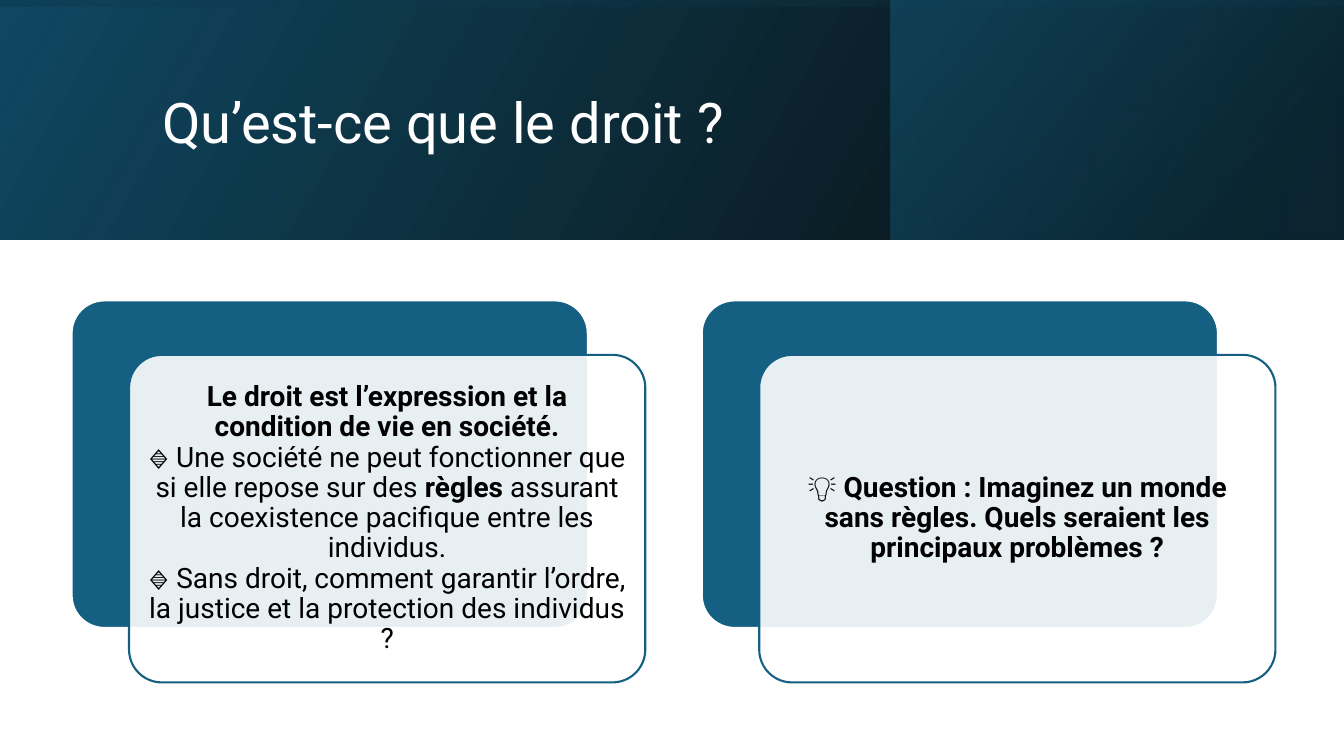
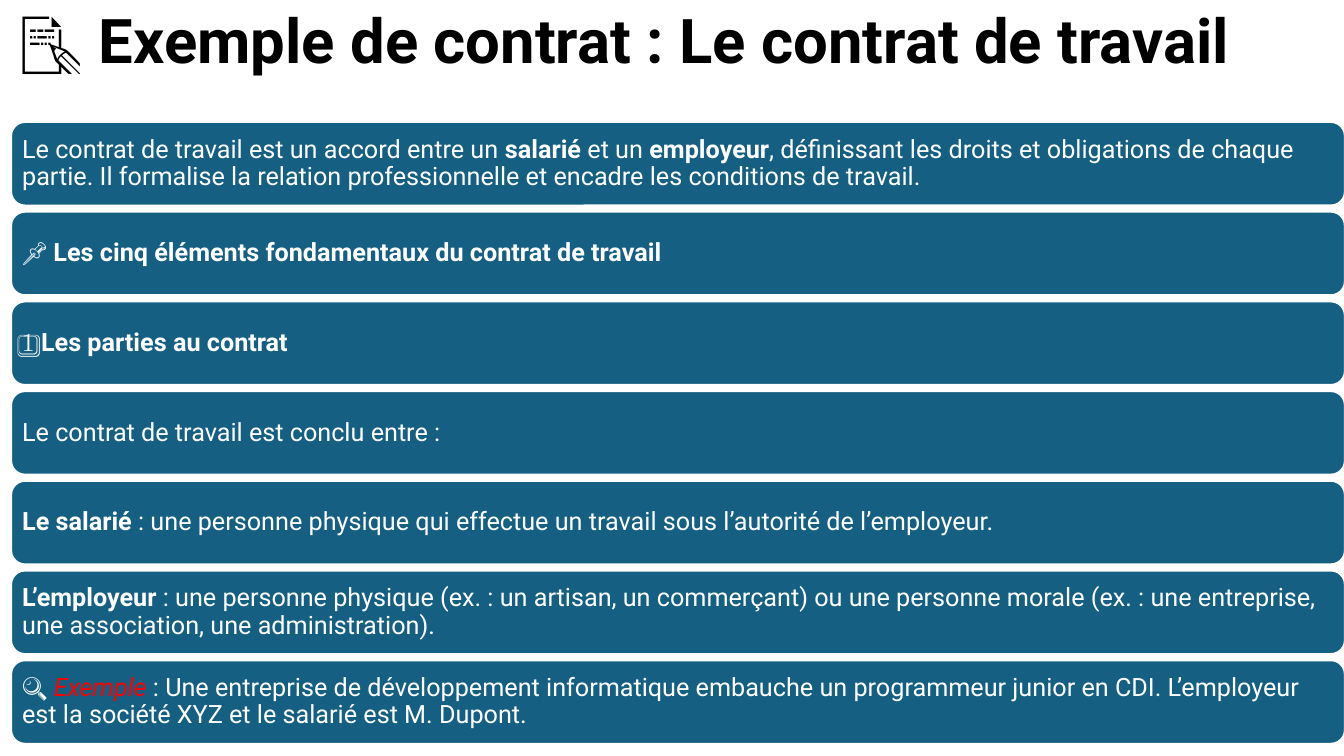
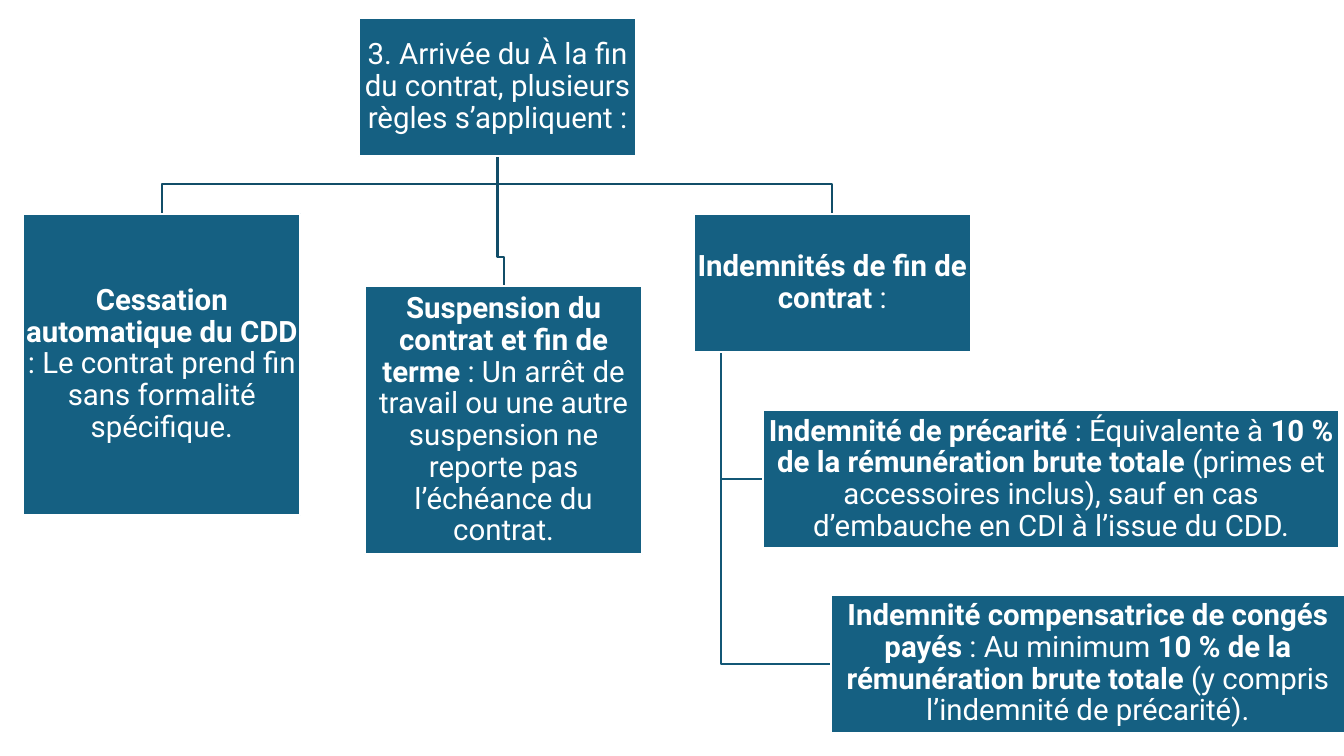
"""Builds three slides on law and the employment contract."""
import pptx
import pptx.util
import pptx.dml.color
import pptx.enum.shapes
import pptx.enum.text
import pptx.oxml
import pptx.oxml.ns

Inches = pptx.util.Inches
Pt = pptx.util.Pt
KIND = pptx.enum.shapes.MSO_SHAPE
ALIGN = pptx.enum.text.PP_ALIGN
FONT = "Roboto"
COLORS = {
    "blue": "156082", "navy": "104862", "deep": "0B3041", "trunk": "114D68",
    "branch": "135776", "white": "FFFFFF", "black": "000000", "red": "FF0000",
}


def rgb(name):
    return pptx.dml.color.RGBColor.from_string(COLORS[name])


def bold(font):
    font.bold = True


def alert(font):
    font.italic = True
    font.color.rgb = rgb("red")


def write(shape, text, size, color, align=ALIGN.LEFT, inset=None, mark=bold):
    frame = shape.text_frame
    frame.word_wrap = True
    frame.vertical_anchor = pptx.enum.text.MSO_ANCHOR.MIDDLE
    if inset is not None:
        frame.margin_left = frame.margin_right = Inches(inset)
        frame.margin_top = frame.margin_bottom = Inches(inset)
    par = frame.paragraphs[0]
    par.alignment = align
    par.line_spacing = 0.9
    par.font.name = FONT
    par.font.size = Pt(size)
    par.font.color.rgb = rgb(color)
    parts = [(part, spot % 2) for spot, part in enumerate(text.split("*")) if part]
    whole = all(strong for _, strong in parts)
    if whole:
        mark(par.font)
    for part, strong in parts:
        for row, line in enumerate(part.split("\n")):
            if row:
                par.add_line_break()
            if line:
                run = par.add_run()
                run.text = line
                if strong and not whole:
                    mark(run.font)


def title(slide, box, text, size, color):
    shape = slide.shapes.add_textbox(*map(Inches, box))
    write(shape, text, size, color)


def block(slide, kind, box, fill="blue", line="white"):
    shape = slide.shapes.add_shape(kind, *map(Inches, box))
    shape.shadow.inherit = False
    shape.fill.solid()
    shape.fill.fore_color.rgb = rgb(fill)
    if line:
        shape.line.color.rgb = rgb(line)
        shape.line.width = Pt(1.5)
    else:
        shape.line.fill.background()
    return shape


def fade(shape, share):
    tint = shape._element.spPr.find(".//" + pptx.oxml.ns.qn("a:srgbClr"))
    tint.append(pptx.oxml.parse_xml(
        f'<a:alpha {pptx.oxml.ns.nsdecls("a")} val="{share * 1000}"/>'))


def band(slide, box, stops, angle, turn=0):
    shape = block(slide, KIND.RECTANGLE, box, line=None)
    shape.rotation = turn
    props = shape._element.spPr
    props.xfrm.set("flipH", "1")
    marks = "".join(
        f'<a:gs pos="{spot * 1000}"><a:srgbClr val="{COLORS[name]}">'
        f'<a:alpha val="{share * 1000}"/></a:srgbClr></a:gs>'
        for spot, name, share in stops)
    blend = pptx.oxml.parse_xml(
        f'<a:gradFill {pptx.oxml.ns.nsdecls("a")} rotWithShape="1">'
        f'<a:gsLst>{marks}</a:gsLst>'
        f'<a:lin ang="{angle * 60000}" scaled="0"/></a:gradFill>')
    props.replace(props.find(pptx.oxml.ns.qn("a:solidFill")), blend)


def card(slide, left, text):
    wide, high, top = 5.12, 3.25, 2.98
    back = block(slide, KIND.ROUNDED_RECTANGLE, (left, top, wide, high))
    front = block(slide, KIND.ROUNDED_RECTANGLE,
                  (left + 0.57, top + 0.54, wide, high), "white", "blue")
    for shape in (back, front):
        shape.adjustments[0] = 0.1
    fade(front, 90)
    write(front, text, 20, "black", ALIGN.CENTER, 0.08)


def bar(slide, top, text, mark=bold):
    shape = block(slide, KIND.ROUNDED_RECTANGLE, (0.11, top, 13.23, 0.83))
    write(shape, text, 18, "white", inset=0.07, mark=mark)


def node(slide, box, text):
    shape = block(slide, KIND.RECTANGLE, box)
    write(shape, text, 21, "white", ALIGN.CENTER, 0.01)


def link(slide, points, color):
    start, *rest = [(Inches(x), Inches(y)) for x, y in points]
    pen = slide.shapes.build_freeform(*start)
    pen.add_line_segments(rest, close=False)
    shape = pen.convert_to_shape()
    shape.shadow.inherit = False
    shape.fill.background()
    shape.line.color.rgb = rgb(color)
    shape.line.width = Pt(1.5)


def law(slide):
    band(slide, (0, 0, 13.33, 2.38),
         [(0, "black", 96), (100, "navy", 100)], 330)
    band(slide, (8.83, 0, 4.5, 2.38),
         [(19, "deep", 68), (100, "blue", 48)], 320)
    band(slide, (5.48, -5.48, 2.38, 13.33),
         [(23, "navy", 16), (99, "black", 45)], 350, 270)
    title(slide, (1.51, 0.38, 10.63, 1.72), "Qu’est-ce que le droit ?", 40, "white")
    cards = [
        "*Le droit est l’expression et la condition de vie en société.*\n"
        "🔹 Une société ne peut fonctionner que si elle repose sur des *règles* "
        "assurant la coexistence pacifique entre les individus.\n"
        "🔹 Sans droit, comment garantir l’ordre, la justice et la protection "
        "des individus ?",
        "💡 *Question : Imaginez un monde sans règles. Quels seraient les "
        "principaux problèmes ?*",
    ]
    for spot, text in enumerate(cards):
        card(slide, 0.71 + spot * 6.25, text)


def work(slide):
    title(slide, (0.11, 0, 13.23, 0.86),
          "📝 *Exemple de contrat : Le contrat de travail*", 44, "black")
    bars = [
        ("Le contrat de travail est un accord entre un *salarié* et un *employeur*, "
         "définissant les droits et obligations de chaque partie. Il formalise la "
         "relation professionnelle et encadre les conditions de travail.", bold),
        ("*📌 Les cinq éléments fondamentaux du contrat de travail*", bold),
        ("*1️⃣ Les parties au contrat*", bold),
        ("Le contrat de travail est conclu entre :", bold),
        ("*Le salarié* : une personne physique qui effectue un travail sous "
         "l’autorité de l’employeur.", bold),
        ("*L’employeur* : une personne physique (ex. : un artisan, un commerçant) "
         "ou une personne morale (ex. : une entreprise, une association, une "
         "administration).", bold),
        ("🔍 *Exemple *: Une entreprise de développement informatique embauche un "
         "programmeur junior en CDI. L’employeur est la société XYZ et le salarié "
         "est M. Dupont.", alert),
    ]
    for spot, (text, mark) in enumerate(bars):
        bar(slide, 1.21 + spot * 0.89, text, mark)


def term(slide):
    wide, high = 2.75, 1.37
    root = ((3.56, 0.18, wide, high),
            "3. Arrivée du À la fin du contrat, plusieurs règles s’appliquent :")
    rules = [
        ((0.23, 2.12, wide, 2.99),
         "*Cessation automatique du CDD* : Le contrat prend fin sans formalité "
         "spécifique."),
        ((3.62, 2.84, wide, 2.66),
         "*Suspension du contrat et fin de terme* : Un arrêt de travail ou une "
         "autre suspension ne reporte pas l’échéance du contrat."),
        ((6.88, 2.12, wide, high), "*Indemnités de fin de contrat* :"),
    ]
    sums = [
        ((7.57, 4.07, 5.71, high),
         "*Indemnité de précarité* : Équivalente à *10 % de la rémunération brute "
         "totale* (primes et accessoires inclus), sauf en cas d’embauche en CDI à "
         "l’issue du CDD."),
        ((8.24, 5.9, 5.1, high),
         "*Indemnité compensatrice de congés payés* : Au minimum *10 % de la "
         "rémunération brute totale* (y compris l’indemnité de précarité)."),
    ]
    stem, foot = 7.15, 2.12 + high
    for (left, top, _, tall), _ in sums:
        mid = top + tall / 2
        link(slide, [(stem, foot), (stem, mid), (left, mid)], "branch")
    hub, base = 3.56 + wide / 2, 0.18 + high
    for (left, top, _, _), _ in rules:
        mid, bend = left + wide / 2, top - 0.29
        link(slide, [(hub, base), (hub, bend), (mid, bend), (mid, top)], "trunk")
    for box, text in [root, *rules, *sums]:
        node(slide, box, text)


def main():
    deck = pptx.Presentation()
    deck.slide_width = Inches(13.33)
    deck.slide_height = Inches(7.5)
    for build in (law, work, term):
        build(deck.slides.add_slide(deck.slide_layouts[6]))
    deck.save("out.pptx")


if __name__ == "__main__":
    main()
